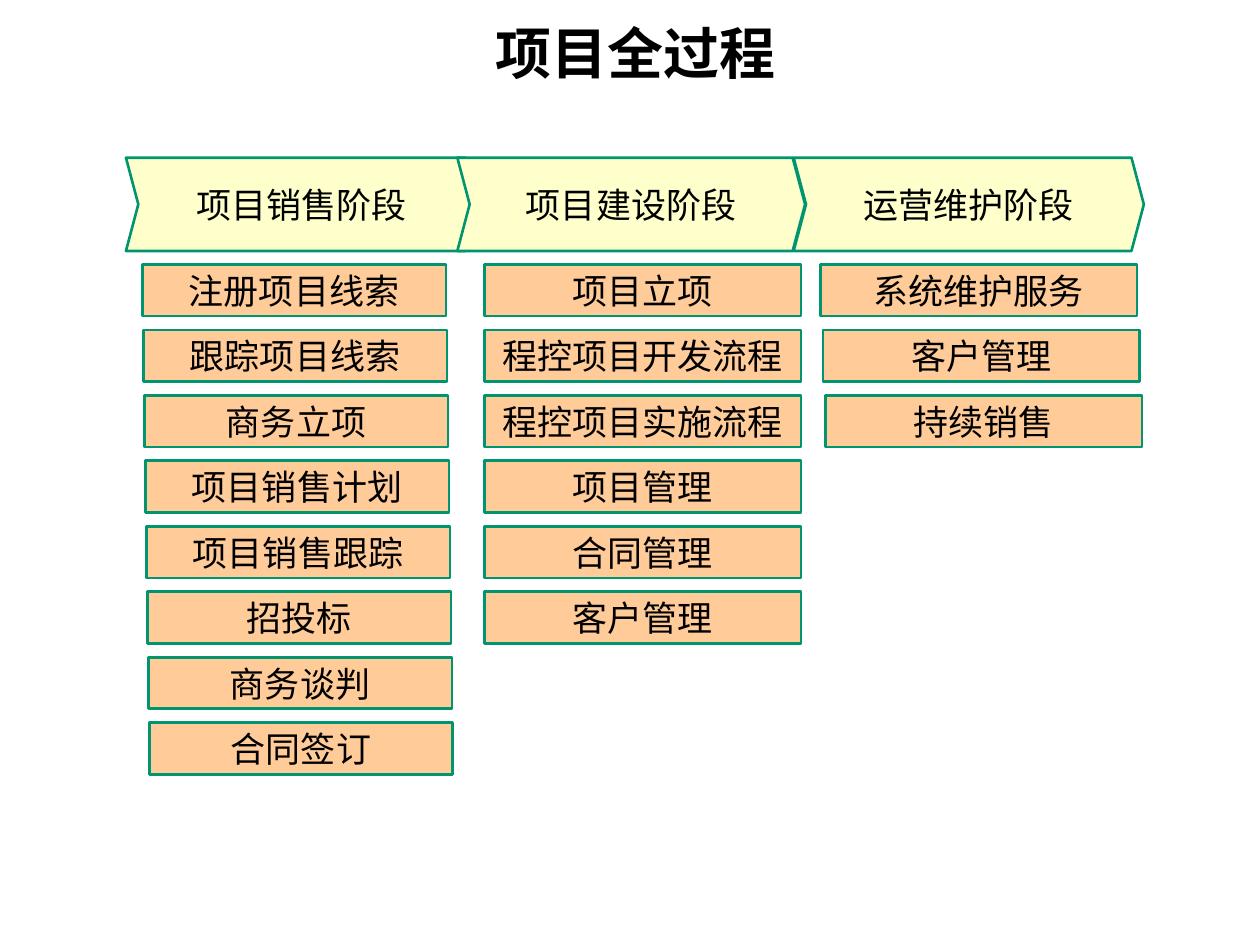
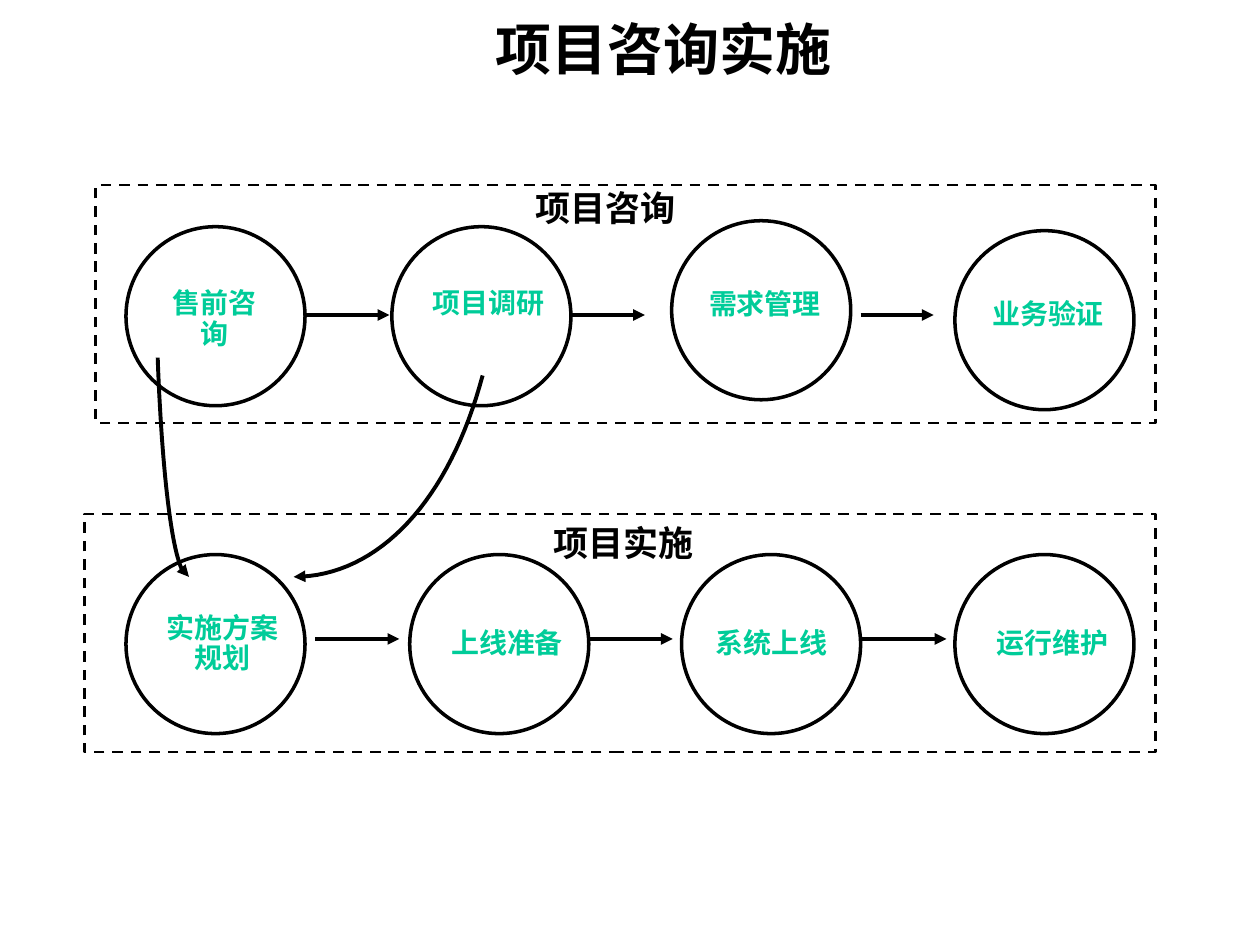
from dataclasses import dataclass
from typing import NamedTuple

from lxml.etree import SubElement
from pptx import Presentation
from pptx.dml.color import RGBColor
from pptx.enum.dml import MSO_LINE
from pptx.enum.shapes import MSO_CONNECTOR, MSO_SHAPE as SHAPE
from pptx.enum.text import MSO_ANCHOR, MSO_AUTO_SIZE, PP_ALIGN as ALIGN
from pptx.oxml.ns import qn
from pptx.util import Cm, Pt


@dataclass(frozen=True)
class Theme:
    font: str = "Times New Roman"
    ink: str = "000000"
    paper: str = "FFFFFF"
    accent: str = "00CC99"
    edge: str = "00956F"
    phase: str = "FFFFCC"
    task: str = "FFCC99"
    title_size: int = 32
    text_size: int = 20
    step_size: int = 16
    thin: float = 1.5
    ring: float = 2
    arrow: float = 2.25


class Box(NamedTuple):
    left: float
    top: float
    width: float
    height: float

    def lengths(self):
        return [Cm(v) for v in self]


class Phase(NamedTuple):
    name: str
    left: float
    width: float
    task_left: float
    task_width: float
    drift: float
    tasks: tuple


class Step(NamedTuple):
    """A circle, placed in its stage, and its label, placed in the circle."""
    text: str
    left: float
    top: float
    label_left: float
    label_top: float
    label_width: float


THEME = Theme()
PHASE_TOP, PHASE_HEIGHT, NOTCH = 3.18, 1.88, 0.25
TASK_OFFSET, TASK_PITCH, TASK_HEIGHT = 2.15, 1.32, 1.04
CIRCLE = 3.61
CURVE_PARTS = 32

PHASES = [
    Phase("项目销售阶段", 2.54, 7.09, 2.87, 6.12, 0.02,
          ("注册项目线索", "跟踪项目线索", "商务立项", "项目销售计划",
           "项目销售跟踪", "招投标", "商务谈判", "合同签订")),
    Phase("项目建设阶段", 9.22, 7.01, 9.77, 6.38, 0,
          ("项目立项", "程控项目开发流程", "程控项目实施流程",
           "项目管理", "合同管理", "客户管理")),
    Phase("运营维护阶段", 16, 7.06, 16.54, 6.38, 0.05,
          ("系统维护服务", "客户管理", "持续销售")),
]

CONSULTING = [
    Step("售前咨询", 0.61, 0.84, 0.2, 1.14, 2.84),
    Step("项目调研", 5.97, 0.84, 0.15, 1.14, 3.28),
    Step("需求管理", 11.61, 0.72, 0, 1.27, 3.43),
    Step("业务验证", 17.32, 0.92, 0, 1.27, 3.43),
]
DELIVERY = [
    Step("实施方案规划", 0.84, 0.82, 0.18, 1.07, 3.2),
    Step("上线准备", 6.56, 0.82, 0.2, 1.37, 3.2),
    Step("系统上线", 12.04, 0.82, -0.15, 1.37, 3.61),
    Step("运行维护", 17.55, 0.82, 0, 1.37, 3.61),
]
HANDOVERS = [
    ((3.18, 7.21), (3.28, 9.91), (3.53, 11.63), (3.81, 11.63)),
    ((9.73, 7.57), (9.07, 10.06), (7.65, 11.63), (5.92, 11.63)),
]


def rgb(value):
    return RGBColor.from_string(value)


def write(tf, text, size, color=THEME.ink, bold=False, align=ALIGN.CENTER):
    p = tf.paragraphs[0]
    p.alignment = align
    r = p.add_run()
    r.text = text
    r.font.name, r.font.size, r.font.bold = THEME.font, Pt(size), bold
    r.font.color.rgb = rgb(color)
    return p


def set_line(line, color, width):
    line.color.rgb = rgb(color)
    line.width = Pt(width)


def add_arrowhead(line_format):
    ln = line_format._get_or_add_ln()
    SubElement(ln, qn("a:tailEnd"), type="triangle")


def add_outline(shapes, kind, box, fill, color, width):
    s = shapes.add_shape(kind, *box.lengths())
    s.shadow.inherit = False
    if fill:
        s.fill.solid()
        s.fill.fore_color.rgb = rgb(fill)
    else:
        s.fill.background()
    set_line(s.line, color, width)
    return s


def add_text(slide, box, text, size, color=THEME.ink, margins=(0.25, 0.13)):
    """Bold centred text; margins are left and top."""
    tf = slide.shapes.add_textbox(*box.lengths()).text_frame
    tf.word_wrap = True
    tf.margin_left, tf.margin_top = (Cm(m) for m in margins)
    return write(tf, text, size, color, bold=True)


def add_titled_slide(prs, title, box):
    slide = prs.slides.add_slide(prs.slide_layouts[5])
    s = slide.shapes.title
    s.left, s.top, s.width, s.height = box.lengths()
    tf = s.text_frame
    tf.auto_size = MSO_AUTO_SIZE.NONE
    tf.vertical_anchor = MSO_ANCHOR.MIDDLE
    write(tf, title, THEME.title_size, bold=True, align=ALIGN.LEFT)
    return slide


def add_bar(shapes, kind, box, fill, text):
    s = add_outline(shapes, kind, box, fill, THEME.edge, THEME.thin)
    s.text_frame.vertical_anchor = MSO_ANCHOR.MIDDLE
    write(s.text_frame, text, THEME.text_size)
    return s


def add_phase(slide, phase, box):
    """A chevron filling the box, with its tasks stacked below."""
    head = add_bar(slide.shapes, SHAPE.CHEVRON, box, THEME.phase, phase.name)
    head.adjustments[0] = NOTCH / box.height
    group = slide.shapes.add_group_shape()
    for i, task in enumerate(phase.tasks):
        row = Box(phase.task_left + i * phase.drift,
                  box.top + TASK_OFFSET + i * TASK_PITCH,
                  phase.task_width, TASK_HEIGHT)
        add_bar(group.shapes, SHAPE.RECTANGLE, row, THEME.task, task)


def add_step(slide, step, stage):
    circle = Box(stage.left + step.left, stage.top + step.top, CIRCLE, CIRCLE)
    add_outline(slide.shapes, SHAPE.OVAL, circle, None, THEME.ink, THEME.ring)
    label = Box(circle.left + step.label_left, circle.top + step.label_top,
                step.label_width, 0.86)
    p = add_text(slide, label, step.text, THEME.step_size, THEME.accent,
                 margins=(0.58, 0.13))
    p.line_spacing = 0.9


def add_arrow(slide, x1, x2, y):
    c = slide.shapes.add_connector(MSO_CONNECTOR.STRAIGHT,
                                   Cm(x1), Cm(y), Cm(x2), Cm(y))
    set_line(c.line, THEME.ink, THEME.arrow)
    add_arrowhead(c.line)
    SubElement(c._element.spPr, qn("a:effectLst"))


def add_stage(slide, box, name, name_left, name_top, name_width,
              steps, arrows, arrow_top):
    """A dashed frame; names, steps and arrows are placed relative to it."""
    frame = add_outline(slide.shapes, SHAPE.RECTANGLE, box, THEME.paper,
                        THEME.ink, THEME.thin)
    frame.line.dash_style = MSO_LINE.DASH
    heading = Box(box.left + name_left, box.top + name_top, name_width, 1.14)
    add_text(slide, heading, name, THEME.text_size, margins=(0.28, 0.15))
    for step in steps:
        add_step(slide, step, box)
    for start, end in arrows:
        add_arrow(slide, box.left + start, box.left + end, box.top + arrow_top)


def bezier(points, t):
    weights = ((1 - t) ** 3, 3 * t * (1 - t) ** 2, 3 * t * t * (1 - t), t ** 3)
    return tuple(Cm(sum(w * v for w, v in zip(weights, axis)))
                 for axis in zip(*points))


def add_curved_arrow(slide, points):
    start, *rest = [bezier(points, i / CURVE_PARTS)
                    for i in range(CURVE_PARTS + 1)]
    builder = slide.shapes.build_freeform(*start)
    builder.add_line_segments(rest, close=False)
    s = builder.convert_to_shape()
    s.shadow.inherit = False
    s.fill.background()
    set_line(s.line, THEME.ink, THEME.arrow)
    add_arrowhead(s.line)


def build_process_slide(prs):
    slide = add_titled_slide(prs, "项目全过程", Box(9.73, 0, 8.05, 2.11))
    for phase in PHASES:
        add_phase(slide, phase,
                  Box(phase.left, PHASE_TOP, phase.width, PHASE_HEIGHT))


def build_consulting_slide(prs):
    slide = add_titled_slide(prs, "项目咨询实施", Box(9.73, 0.2, 7.82, 1.55))
    add_stage(slide, Box(1.7, 10.36, 21.59, 4.8), "项目实施", 8.18, 0, 5.36,
              DELIVERY, [(4.65, 6.35), (10.16, 11.86), (15.65, 17.38)], 2.52)
    add_stage(slide, Box(1.93, 3.73, 21.36, 4.8), "项目咨询", 3.99, -0.12, 12.55,
              CONSULTING, [(4.22, 5.92), (9.6, 11.07), (15.42, 16.89)], 2.62)
    for points in HANDOVERS:
        add_curved_arrow(slide, points)


def main():
    prs = Presentation()
    prs.slide_width, prs.slide_height = Cm(25.4), Cm(19.05)
    build_process_slide(prs)
    build_consulting_slide(prs)
    prs.save("out.pptx")


if __name__ == "__main__":
    main()
